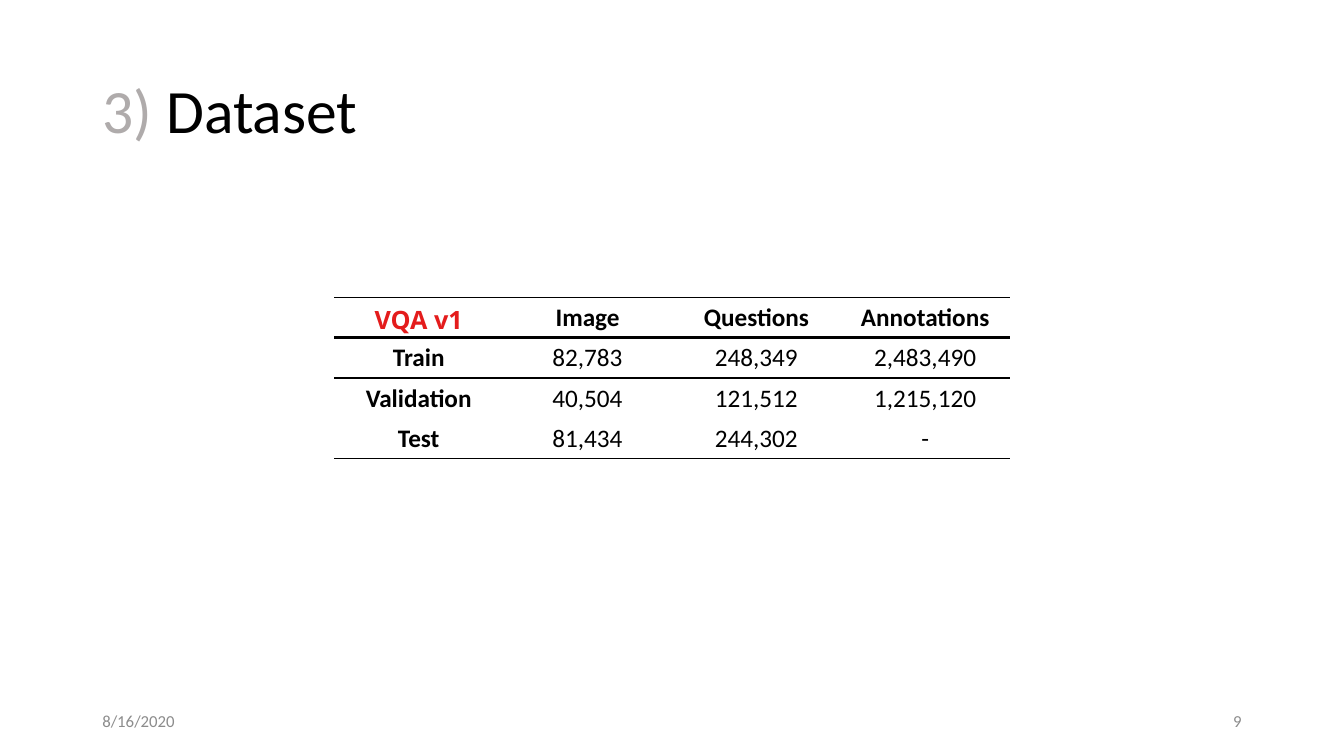
from dataclasses import dataclass

from lxml.etree import SubElement
from pptx import Presentation
from pptx.dml.color import RGBColor as Rgb
from pptx.enum.text import MSO_ANCHOR as Anchor, PP_ALIGN as Align
from pptx.oxml.ns import qn
from pptx.util import Inches, Pt


@dataclass(frozen=True)
class Theme:
    font: str = "Calibri"
    accent_font: str = "Noto Sans"
    ink: str = "000000"
    accent: str = "E41C1C"
    numbering: str = "AFABAB"
    muted: str = "8C8C8C"
    title_size: float = 44
    table_size: float = 18
    footer_size: float = 12
    thin: float = 1
    thick: float = 2.25


class Deck:
    COLUMNS, ROWS = 160, 90

    def __init__(self, theme):
        self.theme = theme
        self.show = Presentation()
        self.show.slide_width, self.show.slide_height = Inches(13.333), Inches(7.5)
        self.slide = self.show.slides.add_slide(self.show.slide_layouts[6])

    def place(self, left, top, width, height):
        across = self.show.slide_width / self.COLUMNS
        down = self.show.slide_height / self.ROWS
        return [int(n) for n in (left * across, top * down, width * across, height * down)]

    def style(self, font, size, color, bold=False, name=None):
        font.name, font.size, font.bold = name or self.theme.font, Pt(size), bold
        font.color.rgb = Rgb.from_string(color)

    def text(self, area, runs, size, align=Align.LEFT, spacing=1.0):
        frame = self.slide.shapes.add_textbox(*self.place(*area)).text_frame
        frame.word_wrap = True
        frame.vertical_anchor = Anchor.MIDDLE
        paragraph = frame.paragraphs[0]
        paragraph.alignment, paragraph.line_spacing = align, spacing
        self.style(paragraph.font, size, runs[0][1])
        for wording, color in runs:
            run = paragraph.add_run()
            run.text = wording
            self.style(run.font, size, color)

    def border(self, cell, above, below):
        properties = cell._tc.get_or_add_tcPr()
        for edge, weight in (("lnL", 0), ("lnR", 0), ("lnT", above), ("lnB", below)):
            line = SubElement(properties, qn(f"a:{edge}"), w=str(int(Pt(weight))))
            if weight:
                fill = SubElement(line, qn("a:solidFill"))
                SubElement(fill, qn("a:srgbClr"), val=self.theme.ink)
            else:
                SubElement(line, qn("a:noFill"))

    def table(self, area, records, rules):
        theme = self.theme
        left, top, width, height = self.place(*area)
        grid = self.slide.shapes.add_table(
            len(records), len(records[0]), left, top, width, height).table
        grid.first_row = grid.horz_banding = False
        for r, record in enumerate(records):
            for c, wording in enumerate(record):
                cell = grid.cell(r, c)
                self.border(cell, rules[r], rules[r + 1])
                cell.fill.background()
                cell.vertical_anchor = Anchor.MIDDLE
                cell.text = wording
                paragraph = cell.text_frame.paragraphs[0]
                paragraph.alignment = Align.CENTER
                corner = r == c == 0
                self.style(paragraph.font, theme.table_size,
                           theme.accent if corner else theme.ink,
                           bold=r == 0 or c == 0,
                           name=theme.accent_font if corner else theme.font)


def main():
    theme = Theme()
    deck = Deck(theme)
    deck.text((11, 4.8, 138, 17.4), [("3) ", theme.numbering), ("Dataset", theme.ink)],
              theme.title_size, spacing=0.9)
    splits = [
        ("VQA v1", "Image", "Questions", "Annotations"),
        ("Train", "82,783", "248,349", "2,483,490"),
        ("Validation", "40,504", "121,512", "1,215,120"),
        ("Test", "81,434", "244,302", "-"),
    ]
    deck.table((39.8, 35.4, 80.4, 19.2), splits,
               (theme.thin, theme.thick, theme.thick, 0, theme.thin))
    for left, wording, align in ((11, "8/16/2020", Align.LEFT), (113, "9", Align.RIGHT)):
        deck.text((left, 83.4, 36, 4.8), [(wording, theme.muted)], theme.footer_size, align)
    deck.show.save("out.pptx")


if __name__ == "__main__":
    main()
